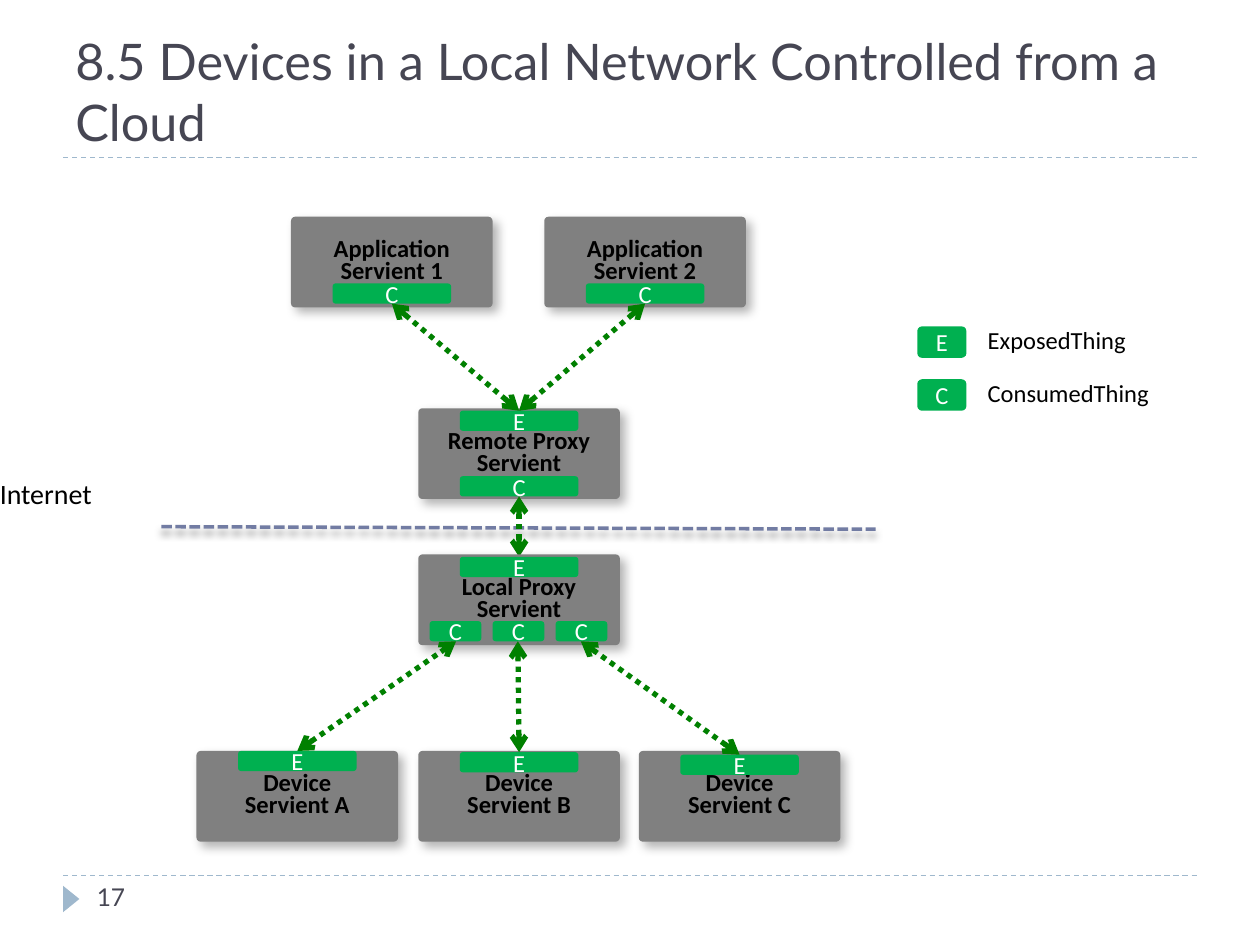
"""Build the slide on local devices controlled from a cloud."""
from lxml import etree
from pptx import Presentation
from pptx.dml.color import RGBColor
from pptx.enum.dml import MSO_LINE
from pptx.enum.shapes import MSO_CONNECTOR, MSO_SHAPE
from pptx.enum.text import MSO_ANCHOR, PP_ALIGN
from pptx.oxml.ns import qn
from pptx.util import Inches, Pt

STRAIGHT = MSO_CONNECTOR.STRAIGHT
DASH, SQUARE_DASH, SQUARE_DOT = MSO_LINE.DASH, MSO_LINE.SQUARE_DOT, MSO_LINE.ROUND_DOT
RECTANGLE, ROUNDED = MSO_SHAPE.RECTANGLE, MSO_SHAPE.ROUNDED_RECTANGLE
TRIANGLE = MSO_SHAPE.ISOSCELES_TRIANGLE
TOP, MIDDLE, BOTTOM = MSO_ANCHOR.TOP, MSO_ANCHOR.MIDDLE, MSO_ANCHOR.BOTTOM
LEFT, CENTER = PP_ALIGN.LEFT, PP_ALIGN.CENTER

WHITE = RGBColor(0xFF, 0xFF, 0xFF)
BLACK = RGBColor(0x00, 0x00, 0x00)
SLATE = RGBColor(0x46, 0x46, 0x53)
PALE_BLUE = RGBColor(0x9F, 0xB8, 0xCD)
INDIGO = RGBColor(0x72, 0x7C, 0xA3)
GRAY = RGBColor(0x80, 0x80, 0x80)
GREEN = RGBColor(0x00, 0xB0, 0x50)
DARK_GREEN = RGBColor(0x00, 0x80, 0x00)

SERVIENT_WIDTH, SERVIENT_HEIGHT = 1.6, 0.72
BAR_WIDTH, SMALL_BAR_WIDTH, BAR_HEIGHT = 0.94, 0.41, 0.16

presentation = Presentation()
presentation.slide_width, presentation.slide_height = Inches(10), Inches(7.5)
slide = presentation.slides.add_slide(presentation.slide_layouts[6])
shapes = slide.shapes


def add_text(box, text, kind=RECTANGLE, fill=None, corner=None, size=14, font="Calibri",
             color=BLACK, bold=False, align=LEFT, anchor=TOP, spacing=None, inset=None,
             wrap=False, shadow=None):
    """Add a box with text, filled if a colour is given."""
    place = [Inches(value) for value in box]
    if fill is None:
        shape = shapes.add_textbox(*place)
    else:
        shape = shapes.add_shape(kind, *place)
        shape.fill.solid()
        shape.fill.fore_color.rgb = fill
        shape.line.fill.background()
        shape.shadow.inherit = False
    if corner is not None:
        shape.adjustments[0] = corner
    if shadow:
        add_shadow(shape, *shadow)
    frame = shape.text_frame
    frame.word_wrap = wrap
    frame.vertical_anchor = anchor
    if inset is not None:
        frame.margin_left = frame.margin_right = Inches(inset)
        frame.margin_top = frame.margin_bottom = Inches(inset)
    frame.text = text
    for paragraph in frame.paragraphs:
        paragraph.alignment = align
        paragraph.line_spacing = spacing
        for run in paragraph.runs:
            run.font.size, run.font.name, run.font.bold = Pt(size), font, bold
            run.font.color.rgb = color
    return shape


def add_shadow(shape, opacity, blur, distance, angle):
    """Give the shape's effect list a black outer shadow."""
    effects = shape._element.spPr.find(qn("a:effectLst"))
    outer = etree.SubElement(effects, qn("a:outerShdw"), blurRad=str(Pt(blur)),
                             dist=str(Pt(distance)), dir=str(angle * 60000), rotWithShape="0")
    black = etree.SubElement(outer, qn("a:srgbClr"), val="000000")
    etree.SubElement(black, qn("a:alpha"), val=str(opacity * 1000))


servient_style = dict(kind=ROUNDED, fill=GRAY, corner=0.045, bold=True, align=CENTER,
                      anchor=MIDDLE, spacing=0.75, inset=0, shadow=(30, 6, 4, 45))
bar_style = dict(kind=ROUNDED, fill=GREEN, corner=0.15, color=WHITE, align=CENTER,
                 anchor=MIDDLE)

marker = add_text((0.46, 7.07, 0.21, 0.13), "", kind=TRIANGLE, fill=PALE_BLUE)
marker.rotation = 90
add_text((1.06, 1.51, 6.06, 5.31), "", fill=WHITE)
add_text((0.5, 0.25, 9, 1), "8.5 Devices in a Local Network Controlled from a Cloud",
         size=28.8, font="Lato", color=SLATE, anchor=BOTTOM, wrap=True)
add_text((0.67, 6.95, 2.17, 0.4), "17", font="Lato", color=SLATE, wrap=True)
add_text((-0.1, 3.73, 1.09, 0.37), "Internet", size=16, wrap=True)

for letter, name, top, width in [("E", "ExposedThing", 2.53, 1.31),
                                 ("C", "ConsumedThing", 2.95, 1.49)]:
    add_text((7.74, top, width, 0.34), name)
    add_text((7.28, top + 0.06, 0.39, 0.25), letter, **bar_style)

rules = [((0.5, 6.95, 9.5, 6.95), PALE_BLUE, 0.75, DASH),
         ((0.5, 1.25, 9.5, 1.25), PALE_BLUE, 0.75, DASH),
         ((1.28, 4.18, 6.95, 4.2), INDIGO, 2, SQUARE_DASH)]
upper_servients = [
    (2.31, 1.72, "Application\nServient 1", [("C", 2.64, 2.25, BAR_WIDTH)]),
    (4.32, 1.72, "Application\nServient 2", [("C", 4.65, 2.25, BAR_WIDTH)]),
    (3.32, 3.24, "Remote Proxy\nServient", [("C", 3.65, 3.78, BAR_WIDTH),
                                            ("E", 3.65, 3.26, BAR_WIDTH)])]
upper_links = [(4.12, 3.26, 3.11, 2.41), (4.12, 3.26, 5.12, 2.41), (4.12, 4.42, 4.12, 3.94)]
lower_servients = [
    (3.32, 4.4, "Local Proxy\nServient",
     [("E", 3.65, 4.42, BAR_WIDTH)]
     + [("C", 3.41 + 0.5 * index, 4.93, SMALL_BAR_WIDTH) for index in range(3)]),
    (1.56, 5.96, "Device\nServient A", [("E", 1.89, 5.96, BAR_WIDTH)]),
    (3.32, 5.96, "Device\nServient B", [("E", 3.65, 5.97, BAR_WIDTH)]),
    (5.07, 5.96, "Device\nServient C", [("E", 5.4, 5.99, BAR_WIDTH)])]
lower_links = [(2.36, 5.96, 3.62, 5.09), (4.12, 5.97, 4.11, 5.09), (5.87, 5.99, 4.61, 5.09)]

layers = [([], rules)]
for servients, links in [(upper_servients, upper_links), (lower_servients, lower_links)]:
    layers.append((servients, [(ends, DARK_GREEN, 3, SQUARE_DOT) for ends in links]))

for servients, lines in layers:
    for left, top, name, bars in servients:
        add_text((left, top, SERVIENT_WIDTH, SERVIENT_HEIGHT), name, **servient_style)
        for letter, bar_left, bar_top, bar_width in bars:
            add_text((bar_left, bar_top, bar_width, BAR_HEIGHT), letter, **bar_style)
    for ends, color, width, dash in lines:
        connector = shapes.add_connector(STRAIGHT, *[Inches(value) for value in ends])
        connector.line.color.rgb = color
        connector.line.width = Pt(width)
        connector.line.dash_style = dash
        if color == DARK_GREEN:
            for end in ("a:headEnd", "a:tailEnd"):
                etree.SubElement(connector.line._get_or_add_ln(), qn(end), type="arrow")
        etree.SubElement(connector._element.spPr, qn("a:effectLst"))
        if color == INDIGO:
            add_shadow(connector, 40, 4, 3.4, 90)

presentation.save("out.pptx")
